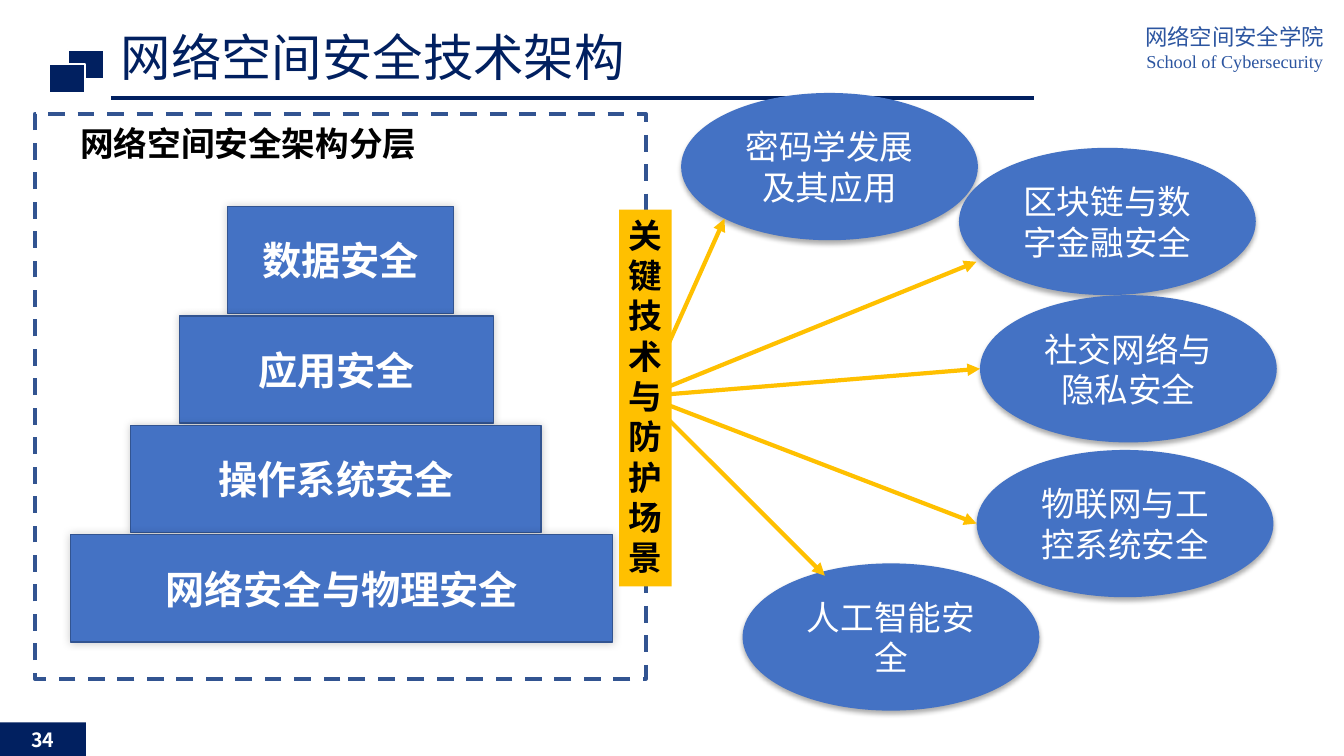
from lxml.etree import SubElement
from pptx import Presentation
from pptx.dml.color import RGBColor
from pptx.enum.dml import MSO_LINE
from pptx.enum.shapes import MSO_CONNECTOR, MSO_SHAPE
from pptx.enum.text import MSO_ANCHOR, PP_ALIGN
from pptx.oxml.ns import qn
from pptx.util import Pt

NAVY = RGBColor(0x01, 0x20, 0x60)
SCHOOL_BLUE = RGBColor(0x2C, 0x55, 0xA0)
BLUE = RGBColor(0x44, 0x72, 0xC4)
EDGE_BLUE = RGBColor(0x32, 0x54, 0x91)
GOLD = RGBColor(0xFF, 0xC0, 0x00)
WHITE = RGBColor(0xFF, 0xFF, 0xFF)
BLACK = RGBColor(0x00, 0x00, 0x00)

BODY_FONT = "Calibri"
HEAD_FONT = "Noto Sans CJK SC"
SCHOOL_FONT = "Times New Roman"

LAYER_TOP, LAYER_PITCH, LAYER_HEIGHT = 147.4, 78.2, 76.5
LAYERS = [("数据安全", 162.6, 161.3), ("应用安全", 128.4, 224),
          ("操作系统安全", 93.4, 293.2), ("网络安全与物理安全", 50.3, 387.4)]

TOPIC_WIDTH, TOPIC_HEIGHT = 212, 105.2
# Topic, left and top of its ellipse, tip of its arrow
TOPICS = [("密码学发展及其应用", 486.5, 66.4, (517.5, 156.3)),
          ("区块链与数字金融安全", 685, 105.6, (697.5, 187)),
          ("社交网络与隐私安全", 700, 210.8, (700, 263.4)),
          ("物联网与工控系统安全", 697.6, 321.4, (697.6, 374)),
          ("人工智能安全", 530.4, 402.4, (589.2, 411.2))]
ARROW_START = (460.8, 283)


class SlideBuilder:
    def __init__(self, slide):
        self.slide = slide

    def fill_text(self, shape, lines, color, bold=False, align=PP_ALIGN.CENTER,
                  anchor=MSO_ANCHOR.MIDDLE, wrap=True, spacing=None):
        """Fill a shape with lines of (text, size, font)."""
        frame = shape.text_frame
        frame.word_wrap = wrap
        frame.vertical_anchor = anchor
        for index, (text, size, font) in enumerate(lines):
            paragraph = frame.add_paragraph() if index else frame.paragraphs[0]
            paragraph.alignment = align
            paragraph.line_spacing = spacing
            run = paragraph.add_run()
            run.text = text
            run.font.name = font
            run.font.size = Pt(size)
            run.font.bold = bold
            run.font.color.rgb = color

    def text(self, left, top, width, height, lines, color, **style):
        box = self.slide.shapes.add_textbox(Pt(left), Pt(top), Pt(width), Pt(height))
        self.fill_text(box, lines, color, anchor=MSO_ANCHOR.TOP, **style)

    def shape(self, kind, left, top, width, height, fill=None, edge=None, edge_width=1):
        shape = self.slide.shapes.add_shape(kind, Pt(left), Pt(top), Pt(width), Pt(height))
        shape.shadow.inherit = False
        if fill is None:
            shape.fill.background()
        else:
            shape.fill.solid()
            shape.fill.fore_color.rgb = fill
        if edge is None:
            shape.line.fill.background()
        else:
            shape.line.color.rgb = edge
            shape.line.width = Pt(edge_width)
        return shape

    def shadow(self, shape, opacity, blur, distance, degrees):
        effects = shape.element.spPr.find(qn("a:effectLst"))
        outer = SubElement(effects, qn("a:outerShdw"), blurRad=str(Pt(blur)),
                           dist=str(Pt(distance)), dir=str(degrees * 60000),
                           rotWithShape="0")
        color = SubElement(outer, qn("a:srgbClr"), val=str(BLACK))
        SubElement(color, qn("a:alpha"), val=str(opacity * 1000))

    def line(self, start, end, color, width, arrow=False):
        connector = self.slide.shapes.add_connector(
            MSO_CONNECTOR.STRAIGHT, *(Pt(value) for value in start + end))
        connector.line.color.rgb = color
        connector.line.width = Pt(width)
        properties = connector.element.spPr
        if arrow:
            SubElement(properties.find(qn("a:ln")), qn("a:tailEnd"), type="triangle")
        SubElement(properties, qn("a:effectLst"))


def draw_header(builder):
    builder.line((79.2, 70), (738.7, 70), NAVY, 2.25)
    for left, top in [(48.5, 35.6), (35.3, 45.8)]:
        builder.shape(MSO_SHAPE.RECTANGLE, left, top, 25.6, 20.6, NAVY, WHITE, 1.5)
    builder.text(804.2, 13, 155.5, 44,
                 [("网络空间安全学院", 16, SCHOOL_FONT),
                  ("School of Cybersecurity", 13, SCHOOL_FONT)], SCHOOL_BLUE)
    builder.text(79.2, 20.2, 659.5, 42.5, [("网络空间安全技术架构", 36, HEAD_FONT)],
                 NAVY, align=PP_ALIGN.LEFT, spacing=0.9)


def draw_layers(builder):
    for index, (name, left, width) in enumerate(LAYERS):
        layer = builder.shape(MSO_SHAPE.RECTANGLE, left, LAYER_TOP + index * LAYER_PITCH,
                              width, LAYER_HEIGHT, BLUE, EDGE_BLUE)
        builder.shadow(layer, 20, 6, 0, 315)
        builder.fill_text(layer, [(name, 28, BODY_FONT)], WHITE, bold=True)


def draw_topics(builder):
    for name, left, top, _ in TOPICS:
        topic = builder.shape(MSO_SHAPE.OVAL, left, top, TOPIC_WIDTH, TOPIC_HEIGHT, BLUE)
        builder.shadow(topic, 32, 3.5, 2.2, 90)
        builder.fill_text(topic, [(name, 24, BODY_FONT)], WHITE)


def draw_frame_and_arrows(builder):
    builder.text(50.3, 84.2, 257, 36, [("网络空间安全架构分层", 24, BODY_FONT)], BLACK,
                 bold=True, align=PP_ALIGN.LEFT, wrap=False)
    frame = builder.shape(MSO_SHAPE.RECTANGLE, 25, 81.4, 436.3, 403.4,
                          edge=EDGE_BLUE, edge_width=3)
    frame.line.dash_style = MSO_LINE.DASH
    for *_, tip in TOPICS:
        builder.line(ARROW_START, tip, GOLD, 3, arrow=True)
    banner = builder.shape(MSO_SHAPE.RECTANGLE, 442.2, 149.8, 37.6, 269, GOLD)
    builder.fill_text(banner, [("关键技术与防护场景", 24, BODY_FONT)], BLACK, bold=True,
                      align=PP_ALIGN.LEFT, anchor=MSO_ANCHOR.TOP)


def main():
    presentation = Presentation()
    presentation.slide_width, presentation.slide_height = Pt(960), Pt(540)
    builder = SlideBuilder(presentation.slides.add_slide(presentation.slide_layouts[6]))
    draw_header(builder)
    draw_layers(builder)
    draw_topics(builder)
    draw_frame_and_arrows(builder)
    number = builder.shape(MSO_SHAPE.RECTANGLE, 0, 516, 61.4, 24, NAVY)
    builder.fill_text(number, [("34", 14, HEAD_FONT)], WHITE, bold=True)
    presentation.save("out.pptx")


if __name__ == "__main__":
    main()
